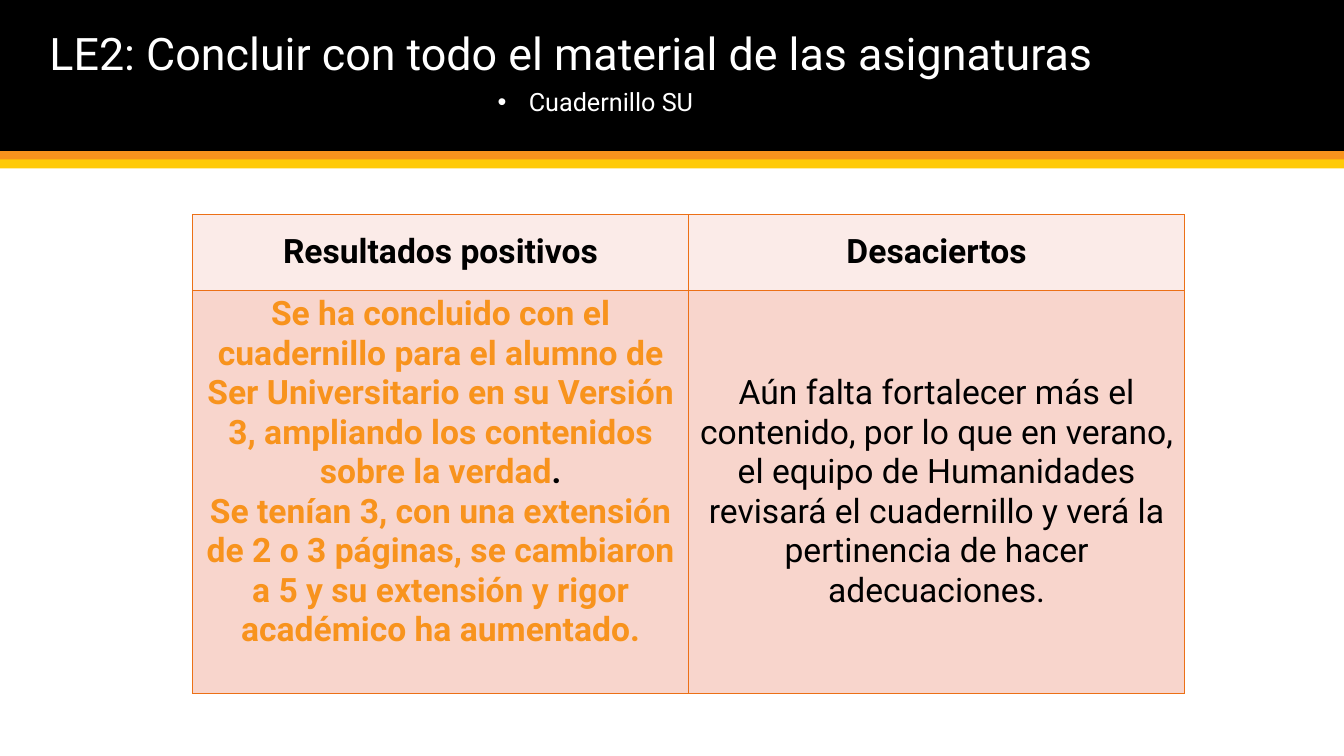
from lxml.etree import SubElement
from pptx import Presentation
from pptx.dml.color import RGBColor
from pptx.enum.shapes import MSO_SHAPE
from pptx.enum.text import MSO_ANCHOR, MSO_AUTO_SIZE, PP_ALIGN
from pptx.oxml.ns import qn
from pptx.util import Inches, Pt

FONT = "Roboto"
BLACK = RGBColor(0x00, 0x00, 0x00)
WHITE = RGBColor(0xFF, 0xFF, 0xFF)
ORANGE = RGBColor(0xF8, 0x93, 0x1D)
YELLOW = RGBColor(0xFF, 0xCA, 0x08)
BORDER = RGBColor(0xEC, 0x70, 0x16)
HEADER_PINK = RGBColor(0xFB, 0xEB, 0xE8)
BODY_PINK = RGBColor(0xF8, 0xD5, 0xCC)

HEADERS = ["Resultados positivos", "Desaciertos"]
POSITIVE_RESULTS = [
    [("Se ha concluido con el cuadernillo para el alumno de Ser Universitario "
      "en su Versión 3, ampliando los contenidos sobre la verdad", ORANGE, True),
     (".", BLACK, True)],
    [("Se tenían 3, con una extensión de 2 o 3 páginas, se cambiaron a 5 y su "
      "extensión y rigor académico ha aumentado.", ORANGE, True)],
]
SHORTCOMINGS = [
    [("Aún falta fortalecer más el contenido, por lo que en verano, el equipo de "
      "Humanidades revisará el cuadernillo y verá la pertinencia de hacer "
      "adecuaciones.", BLACK, False)],
]


def add_run(paragraph, text, size, color, bold=False):
    run = paragraph.add_run()
    run.text = text
    run.font.name = FONT
    run.font.size = Pt(size)
    run.font.bold = bold
    run.font.color.rgb = color


def add_band(slide, left, top, width, height, color):
    band = slide.shapes.add_shape(
        MSO_SHAPE.RECTANGLE, Inches(left), Inches(top), Inches(width), Inches(height))
    band.shadow.inherit = False
    band.fill.solid()
    band.fill.fore_color.rgb = color
    band.line.fill.background()


def add_bullet(paragraph, indent):
    properties = paragraph._p.get_or_add_pPr()
    properties.set("marL", str(Inches(indent)))
    properties.set("indent", str(-Inches(indent)))
    SubElement(properties, qn("a:buFont"), typeface="Arial")
    SubElement(properties, qn("a:buChar"), char="•")


def add_heading(slide, left, top, width):
    """Draw the black banner with its stripes, title and bulleted subtitle."""
    add_band(slide, left, top, width, 1.5, BLACK)
    for offset, color in ((1.5, ORANGE), (1.58, YELLOW)):
        add_band(slide, left, top + offset, width, 0.09, color)

    title = slide.shapes.title
    title.left, title.top = Inches(left + 0.39), Inches(top + 0.2)
    title.width, title.height = Inches(12.82), Inches(0.64)
    slide.shapes._spTree.append(title._element)
    frame = title.text_frame
    frame.auto_size = MSO_AUTO_SIZE.NONE
    frame.vertical_anchor = MSO_ANCHOR.TOP
    paragraph = frame.paragraphs[0]
    paragraph.alignment = PP_ALIGN.LEFT
    add_run(paragraph, "LE2: Concluir con todo el material de las asignaturas", 32, WHITE)

    subtitle = slide.shapes.add_textbox(
        Inches(left - 0.44), Inches(top + 0.81), Inches(12.69), Inches(0.4))
    subtitle.text_frame.word_wrap = True
    paragraph = subtitle.text_frame.paragraphs[0]
    paragraph.alignment = PP_ALIGN.CENTER
    add_bullet(paragraph, 0.31)
    add_run(paragraph, "Cuadernillo SU", 18, WHITE)


def add_borders(cell):
    properties = cell._tc.get_or_add_tcPr()
    for side in ("lnL", "lnR", "lnT", "lnB"):
        line = SubElement(properties, qn(f"a:{side}"), w=str(Pt(1)))
        fill = SubElement(line, qn("a:solidFill"))
        SubElement(fill, qn("a:srgbClr"), val=str(BORDER))


def fill_cell(cell, paragraphs, color, bottom_margin=0):
    """Write paragraphs, each a list of (text, color, bold), into a bordered cell."""
    add_borders(cell)
    cell.fill.solid()
    cell.fill.fore_color.rgb = color
    cell.vertical_anchor = MSO_ANCHOR.MIDDLE
    cell.margin_left = cell.margin_right = Inches(0.07)
    cell.margin_top, cell.margin_bottom = 0, Inches(bottom_margin)
    for index, runs in enumerate(paragraphs):
        frame = cell.text_frame
        paragraph = frame.add_paragraph() if index else frame.paragraphs[0]
        paragraph.alignment = PP_ALIGN.CENTER
        for text, text_color, bold in runs:
            add_run(paragraph, text, 24, text_color, bold)


def add_results_table(slide, left, top, width, height):
    header_height = 0.75
    table = slide.shapes.add_table(
        2, 2, Inches(left), Inches(top), Inches(width), Inches(height)).table
    table.rows[0].height = Inches(header_height)
    table.rows[1].height = Inches(height - header_height)
    for column, header in enumerate(HEADERS):
        table.columns[column].width = Inches(width / 2)
        fill_cell(table.cell(0, column), [[(header, BLACK, True)]], HEADER_PINK)
    fill_cell(table.cell(1, 0), POSITIVE_RESULTS, BODY_PINK, bottom_margin=0.39)
    fill_cell(table.cell(1, 1), SHORTCOMINGS, BODY_PINK)


def main():
    presentation = Presentation()
    presentation.slide_width = Inches(13.33)
    presentation.slide_height = Inches(7.5)
    slide = presentation.slides.add_slide(presentation.slide_layouts[5])
    add_heading(slide, 0, 0, 13.33)
    add_results_table(slide, 1.91, 2.13, 9.84, 4.75)
    presentation.save("out.pptx")


if __name__ == "__main__":
    main()
